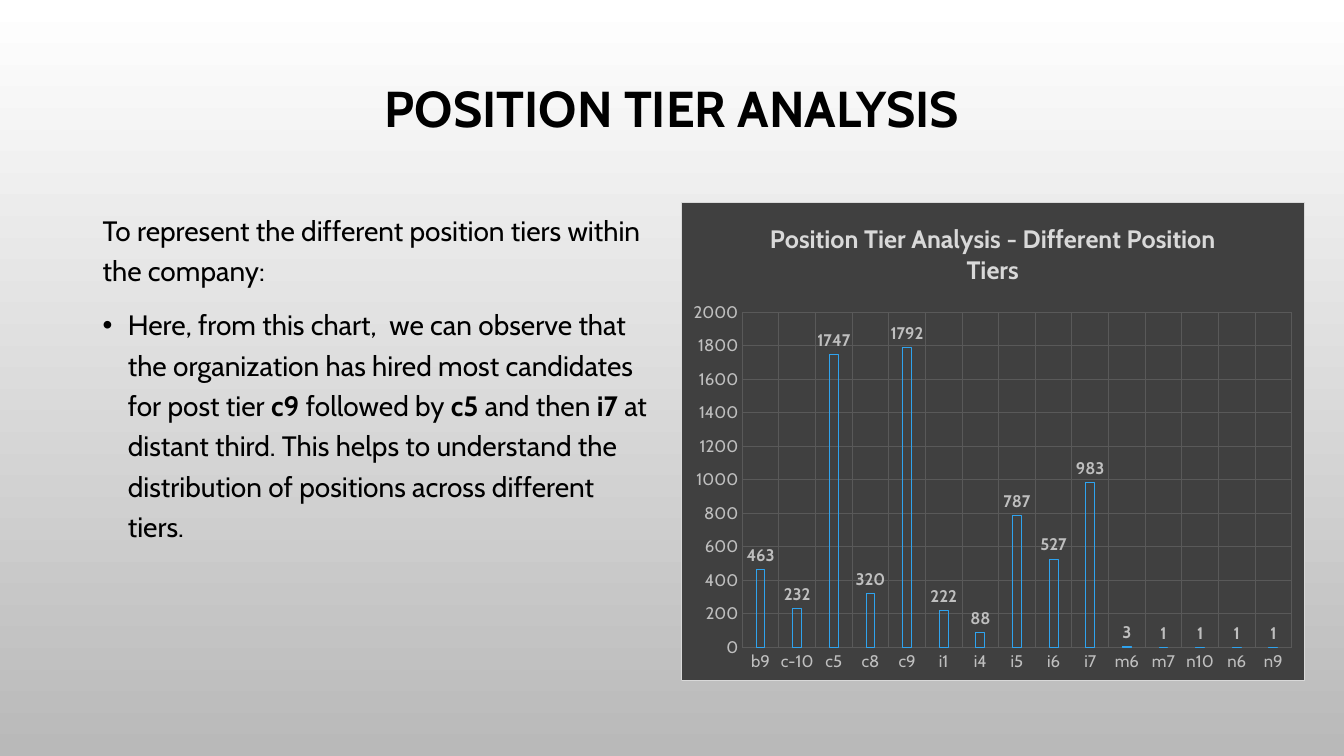
import pptx
import pptx.chart.data
import pptx.dml.color
import pptx.enum.chart
import pptx.enum.text
import pptx.oxml
import pptx.oxml.ns
import pptx.util

Inches = pptx.util.Inches
Pt = pptx.util.Pt
RGBColor = pptx.dml.color.RGBColor

FONT = "Cabin"
BLACK = RGBColor(0x00, 0x00, 0x00)
WHITE = RGBColor(0xFF, 0xFF, 0xFF)
BACKDROP_GRAY = RGBColor(0xB9, 0xB9, 0xB9)
PANEL = RGBColor(0x40, 0x40, 0x40)
GRID = RGBColor(0x59, 0x59, 0x59)
LABEL_GRAY = RGBColor(0xBF, 0xBF, 0xBF)
LIGHT_GRAY = RGBColor(0xD9, 0xD9, 0xD9)
BAR_BLUE = RGBColor(0x2F, 0xA3, 0xEE)

INTRO = [("To represent the different position tiers within the company:", False)]
FINDING = [
    ("Here, from this chart,  we can observe that the organization has hired "
     "most candidates for post tier ", False),
    ("c9", True),
    (" followed by ", False),
    ("c5 ", True),
    ("and then ", False),
    ("i7 ", True),
    ("at distant third. This helps to understand the distribution of positions "
     "across different tiers.", False),
]
TIER_COUNTS = {
    "b9": 463, "c-10": 232, "c5": 1747, "c8": 320, "c9": 1792,
    "i1": 222, "i4": 88, "i5": 787, "i6": 527, "i7": 983,
    "m6": 3, "m7": 1, "n10": 1, "n6": 1, "n9": 1,
}


def set_all(target, formats):
    for name, value in formats.items():
        setattr(target, name, value)


def style_font(font, size, color, bold=False):
    set_all(font, {"name": FONT, "size": Pt(size), "bold": bold})
    font.color.rgb = color


def style_line(line, color):
    line.color.rgb = color
    line.width = Pt(0.75)


def paint_background(slide):
    fill = slide.background.fill
    fill.gradient()
    fill.gradient_angle = 270
    for stop, color in zip(fill.gradient_stops, (WHITE, BACKDROP_GRAY)):
        stop.color.rgb = color


def place_title(slide, left, top, width, height):
    heading = slide.shapes.title
    set_all(heading, {"left": left, "top": top, "width": width, "height": height})
    heading.text_frame.vertical_anchor = pptx.enum.text.MSO_ANCHOR.MIDDLE
    line = heading.text_frame.paragraphs[0]
    set_all(line, {"alignment": pptx.enum.text.PP_ALIGN.CENTER, "line_spacing": 0.9})
    words = line.add_run()
    words.text = "POSITION TIER ANALYSIS"
    style_font(words.font, 36, BLACK, True)


def add_bullet(paragraph):
    properties = paragraph._p.get_or_add_pPr()
    properties.set("marL", str(Inches(0.25)))
    properties.set("indent", str(-Inches(0.25)))
    properties.append(pptx.oxml.parse_xml(
        f'<a:buFont {pptx.oxml.ns.nsdecls("a")} typeface="Arial"/>'))
    properties.append(pptx.oxml.parse_xml(
        f'<a:buChar {pptx.oxml.ns.nsdecls("a")} char="•"/>'))


def add_commentary(slide, left, top, width, height):
    frame = slide.shapes.add_textbox(left, top, width, height).text_frame
    frame.word_wrap = True
    intro, finding = frame.paragraphs[0], frame.add_paragraph()
    for paragraph, pieces in ((intro, INTRO), (finding, FINDING)):
        set_all(paragraph, {"line_spacing": 1.2, "space_before": Pt(10)})
        for words, bold in pieces:
            run = paragraph.add_run()
            run.text = words
            style_font(run.font, 20, BLACK, bold)
    add_bullet(finding)


def paint_panel(chart):
    panel = pptx.oxml.parse_xml(
        f'<c:spPr {pptx.oxml.ns.nsdecls("c", "a")}>'
        f'<a:solidFill><a:srgbClr val="{PANEL}"/></a:solidFill>'
        f'<a:ln w="{Pt(0.75)}"><a:solidFill><a:srgbClr val="{LIGHT_GRAY}"/>'
        '</a:solidFill></a:ln></c:spPr>')
    chart.element.find(pptx.oxml.ns.qn("c:chart")).addnext(panel)


def style_axis(axis):
    no_tick = pptx.enum.chart.XL_TICK_MARK.NONE
    set_all(axis, {"major_tick_mark": no_tick, "minor_tick_mark": no_tick,
                   "has_major_gridlines": True})
    axis.format.line.fill.background()
    style_line(axis.major_gridlines.format.line, GRID)
    style_font(axis.tick_labels.font, 12, LABEL_GRAY)


def add_tier_chart(slide, left, top, width, height):
    tiers = pptx.chart.data.CategoryChartData()
    tiers.categories = list(TIER_COUNTS)
    tiers.add_series("Series 1", list(TIER_COUNTS.values()))
    chart = slide.shapes.add_chart(
        pptx.enum.chart.XL_CHART_TYPE.COLUMN_CLUSTERED,
        left, top, width, height, tiers).chart
    style_font(chart.font, 10, BLACK)
    paint_panel(chart)

    # Chart heading
    set_all(chart, {"has_legend": False, "has_title": True})
    heading = chart.chart_title.text_frame.paragraphs[0].add_run()
    heading.text = "Position Tier Analysis - Different Position Tiers"
    style_font(heading.font, 18, LIGHT_GRAY, True)

    # Axes
    set_all(chart.value_axis, {"minimum_scale": 0, "maximum_scale": 2000,
                               "major_unit": 200})
    for axis in (chart.category_axis, chart.value_axis):
        style_axis(axis)

    # Outlined bars and their values
    bars = chart.plots[0]
    set_all(bars, {"gap_width": 315, "overlap": -40, "vary_by_categories": False,
                   "has_data_labels": True})
    bars.series[0].format.fill.background()
    style_line(bars.series[0].format.line, BAR_BLUE)
    set_all(bars.data_labels, {
        "show_value": True,
        "position": pptx.enum.chart.XL_LABEL_POSITION.OUTSIDE_END})
    style_font(bars.data_labels.font, 12, LABEL_GRAY, True)


def main():
    deck = pptx.Presentation()
    set_all(deck, {"slide_width": Inches(13.33), "slide_height": Inches(7.5)})
    slide = deck.slides.add_slide(deck.slide_layouts.get_by_name("Title Only"))
    paint_background(slide)
    place_title(slide, Inches(1), Inches(0.68), Inches(11.33), Inches(0.84))
    add_commentary(slide, Inches(0.92), Inches(2), Inches(5.67), Inches(4.76))
    add_tier_chart(slide, Inches(6.75), Inches(2), Inches(6.19), Inches(4.76))
    deck.save("out.pptx")


if __name__ == "__main__":
    main()
